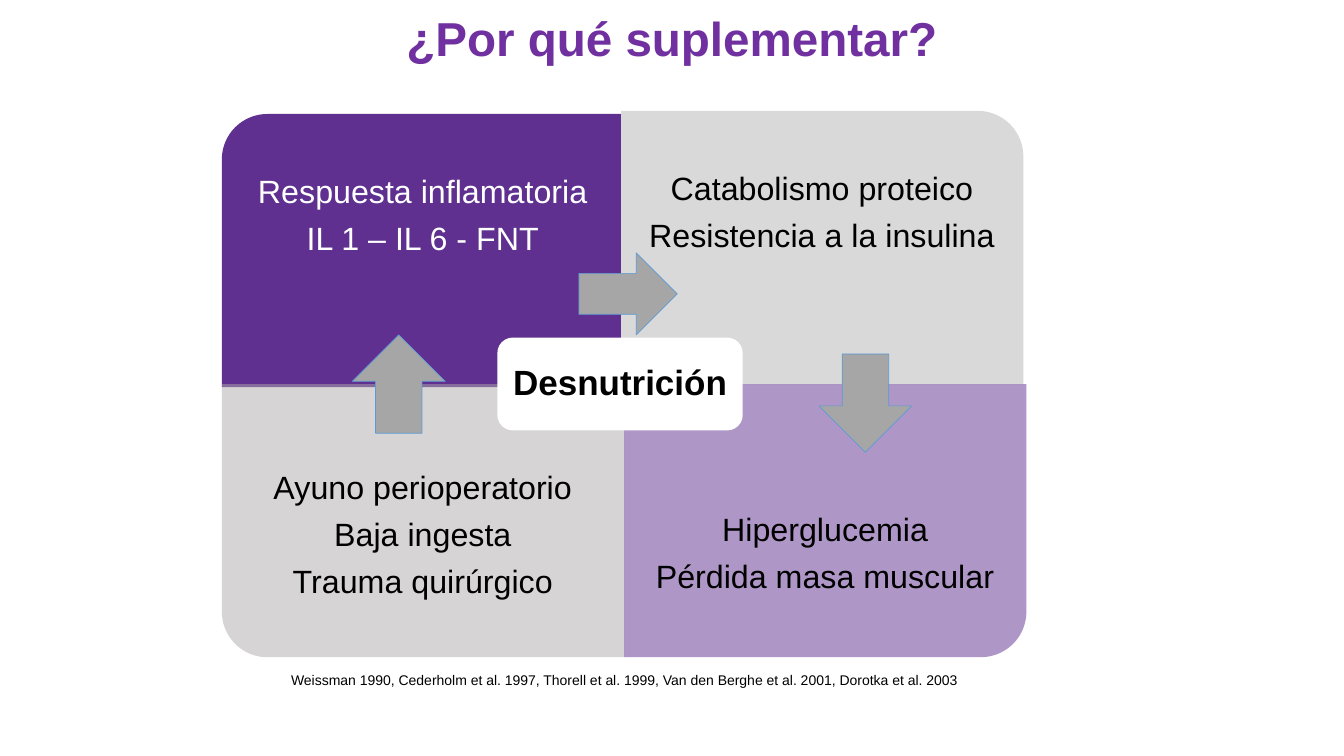
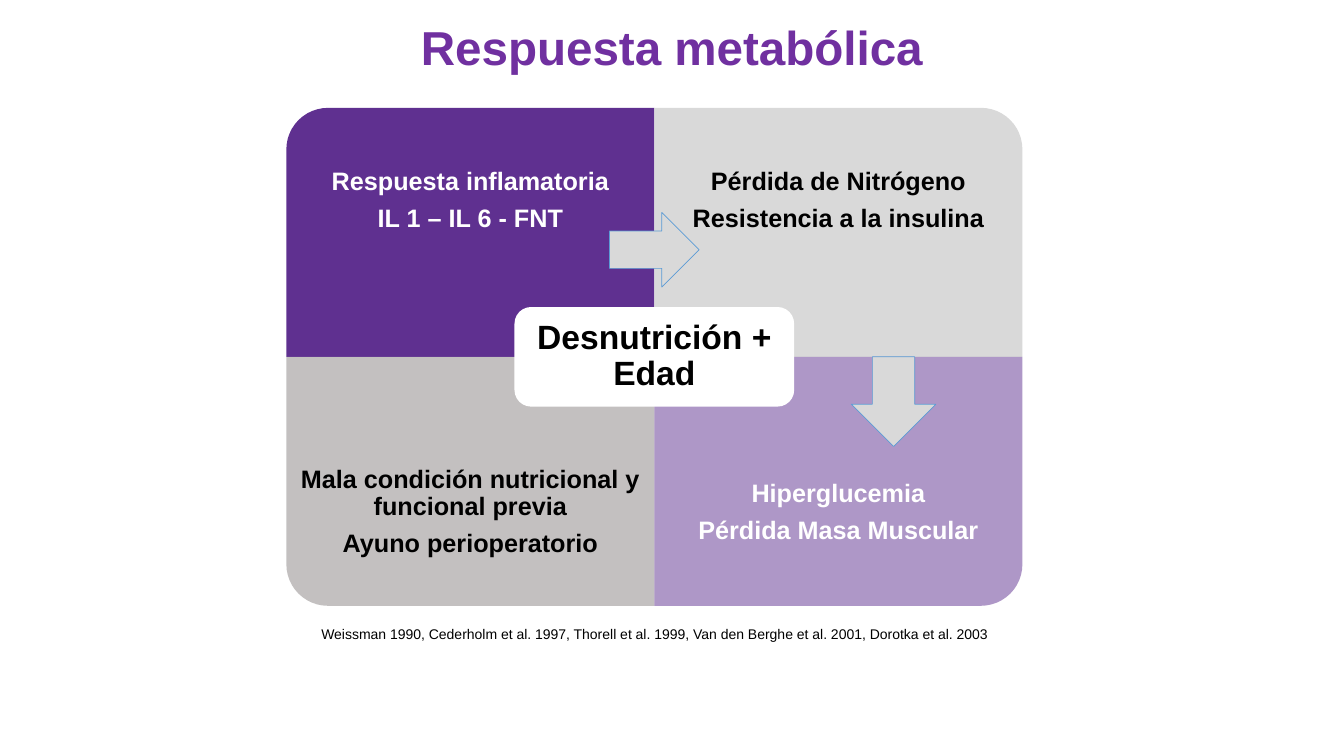
from dataclasses import dataclass

from lxml.etree import SubElement
from pptx import Presentation
from pptx.dml.color import RGBColor
from pptx.enum.shapes import MSO_SHAPE as Shape
from pptx.enum.text import MSO_ANCHOR as Anchor, MSO_AUTO_SIZE as AutoSize, PP_ALIGN as Align
from pptx.oxml.ns import qn
from pptx.util import Inches, Pt

FONT = "Arial"
WIDTH, HEIGHT = 13.33, 7.5
TITLE_PURPLE = RGBColor(0x70, 0x30, 0xA0)
PURPLE = RGBColor(0x5F, 0x30, 0x90)
LIGHT_GRAY = RGBColor(0xD9, 0xD9, 0xD9)
WARM_GRAY = RGBColor(0xAF, 0xAB, 0xAB)
ARROW_GRAY = RGBColor(0xA6, 0xA6, 0xA6)
ARROW_EDGE = RGBColor(0x5B, 0x9B, 0xD5)
WHITE = RGBColor(0xFF, 0xFF, 0xFF)
BLACK = RGBColor(0x00, 0x00, 0x00)

SOURCES = ("Weissman 1990, Cederholm et al. 1997, Thorell et al. 1999, "
           "Van den Berghe et al. 2001, Dorotka et al. 2003")
CORNER_TURNS = {(0, 0): 270, (1, 0): 0, (0, 1): 180, (1, 1): 90}
TEXT_SHARE = 0.75
ARROW_LENGTH = 0.36
ARROW_BREADTHS = {Shape.RIGHT_ARROW: 0.3, Shape.DOWN_ARROW: 0.34, Shape.UP_ARROW: 0.34}


@dataclass
class Grid:
    """Two by two panels; positions inside count in columns and rows."""
    left: float
    top: float
    column: float
    row: float

    def point(self, columns, rows):
        return self.left + columns * self.column, self.top + rows * self.row


@dataclass
class TextStyle:
    size: float
    color: RGBColor = BLACK
    bold: bool = False
    space_after: float = 0
    line_spacing: float = 0.9


@dataclass
class Panel:
    cell: tuple
    lines: list
    fill: RGBColor
    color: RGBColor = BLACK
    opacity: int = 100
    nudge: tuple = (0, 0)
    extra_bottom: float = 0


def write(frame, lines, style, insets=(0.1, 0.05, 0.1, 0.05), anchor=Anchor.MIDDLE):
    """Fill a text frame with centred paragraphs; insets run left, top, right, bottom."""
    frame.word_wrap = True
    frame.auto_size = AutoSize.NONE
    frame.vertical_anchor = anchor
    (frame.margin_left, frame.margin_top,
     frame.margin_right, frame.margin_bottom) = map(Inches, insets)
    for index, line in enumerate(lines):
        para = frame.add_paragraph() if index else frame.paragraphs[0]
        para.text = line
        para.alignment = Align.CENTER
        para.line_spacing = style.line_spacing
        para.space_after = Pt(style.space_after)
        para.font.name = FONT
        para.font.size = Pt(style.size)
        para.font.bold = style.bold
        para.font.color.rgb = style.color


def add_block(slide, kind, center, size, fill, opacity=100, edge=None):
    """Add a filled preset shape around its centre point."""
    left, top = (middle - length / 2 for middle, length in zip(center, size))
    block = slide.shapes.add_shape(kind, *map(Inches, (left, top, *size)))
    block.shadow.inherit = False
    block.fill.solid()
    block.fill.fore_color.rgb = fill
    if opacity < 100:
        color = block.fill._xPr.find(qn("a:solidFill"))[0]
        SubElement(color, qn("a:alpha"), val=str(opacity * 1000))
    if edge is None:
        block.line.fill.background()
    else:
        block.line.color.rgb = edge
        block.line.width = Pt(0.5)
    return block


def add_title(slide, text, top, height):
    title = slide.shapes.title
    title.left, title.top, title.width, title.height = map(Inches, (0, top, WIDTH, height))
    write(title.text_frame, [text], TextStyle(34, TITLE_PURPLE, bold=True))


def add_panel(slide, grid, panel, style, inset):
    """Add one quadrant with its outer corner rounded and its text in the outer part."""
    column, row = panel.cell
    shift_x, shift_y = panel.nudge
    center_x, center_y = grid.point(column + 0.5, row + 0.5)
    center = center_x + shift_x, center_y + shift_y
    turn = CORNER_TURNS[panel.cell]
    size = (grid.row, grid.column) if turn % 180 else (grid.column, grid.row)
    block = add_block(slide, Shape.ROUND_1_RECTANGLE, center, size, panel.fill, panel.opacity)
    block.rotation = turn

    left, top = grid.point(column, row + row * (1 - TEXT_SHARE))
    box = slide.shapes.add_textbox(*map(Inches, (
        left + shift_x, top + shift_y, grid.column, grid.row * TEXT_SHARE)))
    text_style = TextStyle(style.size, panel.color, style.bold, style.space_after)
    write(box.text_frame, panel.lines, text_style,
          (inset, inset, inset, inset + panel.extra_bottom))


def add_hub(slide, grid, text, size, columns, rows, center=(1, 1)):
    hub = add_block(slide, Shape.ROUNDED_RECTANGLE, grid.point(*center),
                    (columns * grid.column, rows * grid.row), WHITE)
    write(hub.text_frame, [text], TextStyle(size, bold=True), (0.06,) * 4)


def add_arrow(slide, grid, kind, center, fill):
    length, breadth = ARROW_LENGTH * grid.row, ARROW_BREADTHS[kind] * grid.row
    size = (length, breadth) if kind == Shape.RIGHT_ARROW else (breadth, length)
    add_block(slide, kind, grid.point(*center), size, fill, edge=ARROW_EDGE)


def add_sources(slide, grid, gap):
    left, bottom = grid.point(0, 2)
    box = slide.shapes.add_textbox(*map(Inches, (left, bottom + gap, 2 * grid.column, 0.27)))
    write(box.text_frame, [SOURCES], TextStyle(10, line_spacing=1), anchor=Anchor.TOP)


def add_slide(deck, title, title_top, title_height):
    slide = deck.slides.add_slide(deck.slide_layouts[5])
    add_title(slide, title, title_top, title_height)
    return slide


def add_supplement_slide(deck):
    slide = add_slide(deck, "¿Por qué suplementar?", 0.1, 0.62)
    grid = Grid(2.2, 1.1, 3.99, 2.71)
    panels = [
        Panel((0, 0), ["Respuesta inflamatoria", "IL 1 – IL 6 - FNT"],
              PURPLE, WHITE, nudge=(0, 0.03)),
        Panel((1, 0), ["Catabolismo proteico", "Resistencia a la insulina"],
              LIGHT_GRAY, nudge=(-0.03, 0)),
        Panel((0, 1), ["Ayuno perioperatorio", "Baja ingesta", "Trauma quirúrgico"],
              WARM_GRAY, opacity=50, extra_bottom=0.37),
        Panel((1, 1), ["Hiperglucemia", "Pérdida masa muscular"], PURPLE, opacity=50),
    ]
    for panel in panels:
        add_panel(slide, grid, panel, TextStyle(23, space_after=9), 0.18)
    add_hub(slide, grid, "Desnutrición", 25, 0.61, 0.34, (0.99, 1))
    add_arrow(slide, grid, Shape.RIGHT_ARROW, (1.01, 0.67), ARROW_GRAY)
    add_arrow(slide, grid, Shape.DOWN_ARROW, (1.6, 1.07), ARROW_GRAY)
    add_sources(slide, grid, 0.09)
    add_arrow(slide, grid, Shape.UP_ARROW, (0.44, 1), ARROW_GRAY)


def add_metabolic_slide(deck):
    slide = add_slide(deck, "Respuesta metabólica", 0.24, 0.52)
    grid = Grid(2.84, 1.07, 3.65, 2.47)
    panels = [
        Panel((0, 0), ["Respuesta inflamatoria", "IL 1 – IL 6 - FNT"], PURPLE, WHITE),
        Panel((1, 0), ["Pérdida de Nitrógeno", "Resistencia a la insulina"], LIGHT_GRAY),
        Panel((0, 1), ["Mala condición nutricional y funcional previa",
                       "Ayuno perioperatorio"], WARM_GRAY, opacity=74),
        Panel((1, 1), ["Hiperglucemia", "Pérdida Masa Muscular"], PURPLE, WHITE, opacity=50),
    ]
    for panel in panels:
        add_panel(slide, grid, panel, TextStyle(18, bold=True, space_after=7), 0.14)
    add_hub(slide, grid, "Desnutrición + Edad", 24, 0.76, 0.4)
    add_arrow(slide, grid, Shape.RIGHT_ARROW, (1, 0.57), LIGHT_GRAY)
    add_arrow(slide, grid, Shape.DOWN_ARROW, (1.65, 1.18), LIGHT_GRAY)
    add_sources(slide, grid, 0.15)


def main():
    deck = Presentation()
    deck.slide_width, deck.slide_height = Inches(WIDTH), Inches(HEIGHT)
    add_supplement_slide(deck)
    add_metabolic_slide(deck)
    deck.save("out.pptx")


if __name__ == "__main__":
    main()
